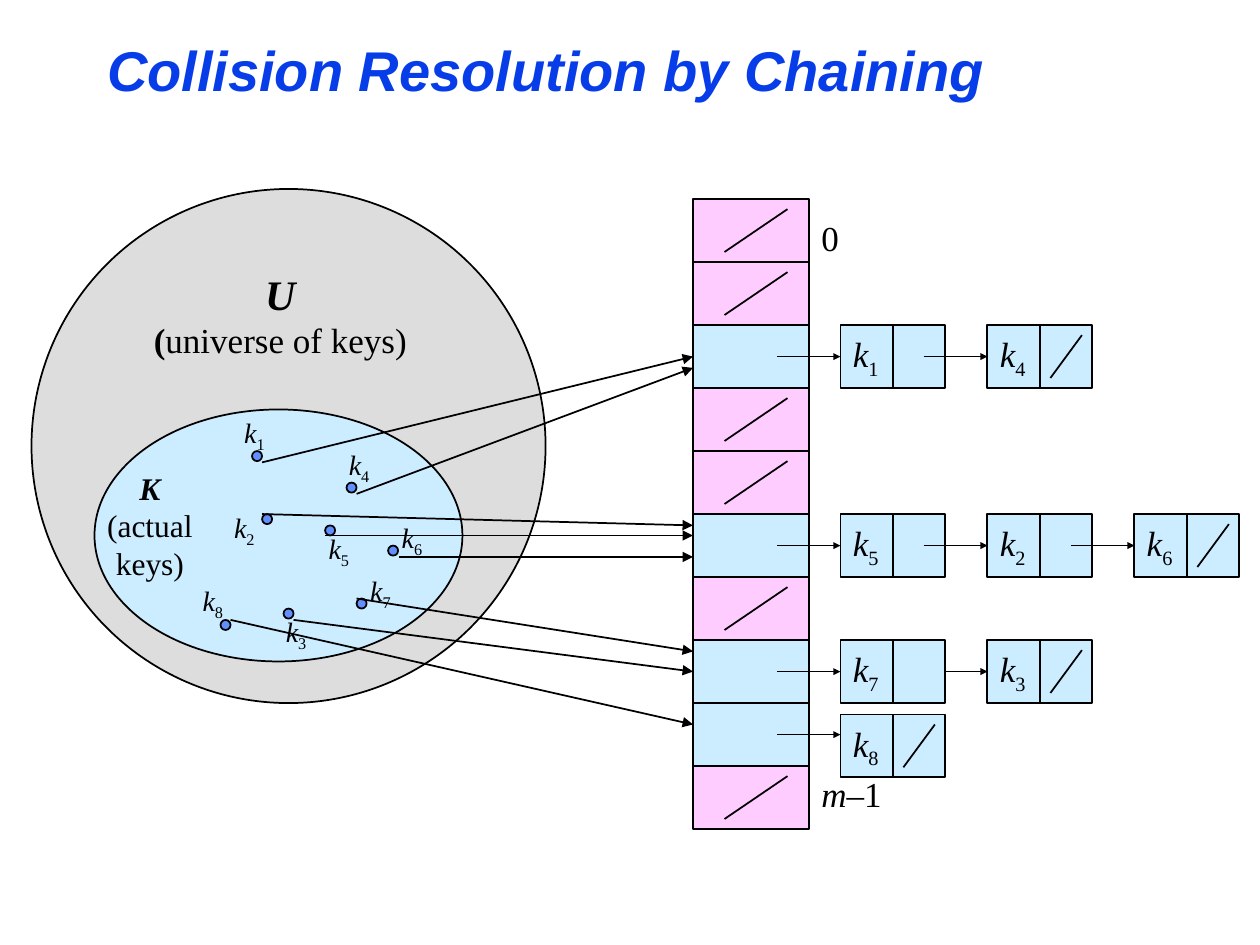
import dataclasses
import typing

import pptx
import pptx.dml.color
import pptx.enum.shapes
import pptx.enum.text
import pptx.oxml.ns
import pptx.oxml.xmlchemy
import pptx.util
from pptx.util import Inches

SHAPE = pptx.enum.shapes.MSO_SHAPE
ALIGN = pptx.enum.text.PP_ALIGN
ANCHOR = pptx.enum.text.MSO_ANCHOR


@dataclasses.dataclass(frozen=True)
class Theme:
    """Colours, fonts and type sizes."""
    ink: str = "000000"
    title: str = "063DE8"
    empty: str = "FFCCFF"
    used: str = "CCECFF"
    outer: str = "DDDDDD"
    dot: str = "618FFD"
    serif: str = "Times New Roman"
    sans: str = "Arial"
    head: int = 32
    large: int = 24
    base: int = 20
    mid: int = 18
    small: int = 16
    rule: float = 0.99


class Run(typing.NamedTuple):
    """A stretch of text in one format."""
    text: str
    size: int
    bold: bool = False
    ital: bool = False
    sub: bool = False


class Key(typing.NamedTuple):
    """A key: number, dot corner, label corner, arrow start, arrow end height."""
    num: int
    dot: tuple
    label: tuple
    start: tuple
    end: float


class Chain(typing.NamedTuple):
    """A slot's linked list: slot, key numbers, node drop, arrow inset."""
    slot: int
    keys: tuple
    drop: float = 0
    inset: float = 0.17


THEME = Theme()
COL_X, COL_Y, COL_W, ROW, ROWS = 5.5, 1.58, 0.92, 0.5, 10
NODE_X, NODE_W, PITCH = 6.67, 0.83, 7 / 6
DOT = 0.08

KEYS = (
    Key(1, (2, 3.58), (1.84, 3.25), (2.08, 3.67), 2.83),
    Key(4, (2.75, 3.83), (2.67, 3.5), (2.83, 3.92), 2.92),
    Key(2, (2.08, 4.08), (1.76, 4), (2.08, 4.08), 4.17),
    Key(5, (2.58, 4.17), (2.51, 4.17), (2.58, 4.25), 4.25),
    Key(6, (3.08, 4.33), (3.09, 4.08), (3.17, 4.42), 4.42),
    Key(7, (2.83, 4.75), (2.84, 4.5), (2.83, 4.75), 5.17),
    Key(3, (2.25, 4.83), (2.17, 4.83), (2.33, 4.92), 5.33),
    Key(8, (1.75, 4.92), (1.51, 4.58), (1.83, 4.92), 5.75),
)
CHAINS = (
    Chain(2, (1, 4)),
    Chain(5, (5, 2, 6)),
    Chain(7, (7, 3), inset=0),
    Chain(8, (8,), drop=0.09),
)

deck = pptx.Presentation()
deck.slide_width, deck.slide_height = Inches(10), Inches(7.5)
slide = deck.slides.add_slide(deck.slide_layouts[5])


def rgb(code: str) -> pptx.dml.color.RGBColor:
    """Turn a hex code into a colour."""
    return pptx.dml.color.RGBColor.from_string(code)


def write(shape, *lines: list, font: str = THEME.serif, color: str = THEME.ink,
          align=ALIGN.LEFT, anchor=ANCHOR.TOP, wrap: bool = False) -> None:
    """Fill a shape with paragraphs, each a list of runs."""
    frame = shape.text_frame
    frame.word_wrap, frame.vertical_anchor = wrap, anchor
    for i, line in enumerate(lines):
        para = frame.add_paragraph() if i else frame.paragraphs[0]
        para.alignment = align
        for part in line:
            run = para.add_run()
            run.text = part.text
            run.font.name, run.font.size = font, pptx.util.Pt(part.size)
            run.font.bold, run.font.italic = part.bold, part.ital
            run.font.color.rgb = rgb(color)
            if part.sub:
                run._r.get_or_add_rPr().set("baseline", "-25000")


def label(x: float, y: float, w: float, h: float, *lines: list, **form) -> None:
    """Add a text box."""
    area = slide.shapes.add_textbox(Inches(x), Inches(y), Inches(w), Inches(h))
    write(area, *lines, **form)


def box(x: float, y: float, w: float, h: float, fill: str, kind=SHAPE.RECTANGLE):
    """Add a filled, outlined shape."""
    item = slide.shapes.add_shape(kind, Inches(x), Inches(y), Inches(w), Inches(h))
    item.shadow.inherit = False
    item.fill.solid()
    item.fill.fore_color.rgb = rgb(fill)
    item.line.color.rgb = rgb(THEME.ink)
    item.line.width = pptx.util.Pt(THEME.rule)
    return item


def line(x1: float, y1: float, x2: float, y2: float, tip: str = "") -> None:
    """Add a line; tip is the arrowhead size, if any."""
    item = slide.shapes.add_connector(
        pptx.enum.shapes.MSO_CONNECTOR.STRAIGHT,
        Inches(x1), Inches(y1), Inches(x2), Inches(y2))
    item.line.color.rgb = rgb(THEME.ink)
    item.line.width = pptx.util.Pt(THEME.rule)
    props = item._element.spPr
    if tip:
        end = pptx.oxml.xmlchemy.OxmlElement("a:tailEnd")
        for name, value in (("type", "triangle"), ("w", tip), ("len", tip)):
            end.set(name, value)
        props.find(pptx.oxml.ns.qn("a:ln")).append(end)
    props.append(pptx.oxml.xmlchemy.OxmlElement("a:effectLst"))


def slash(x: float, y: float, w: float) -> None:
    """Mark an empty pointer in a cell."""
    line(x + 0.75, y + 0.08, x + 0.75 - w, y + 0.42)


def name(num: int, size: int) -> list:
    """Give the runs of a key's name."""
    return [Run("k", size, ital=True), Run(str(num), size, sub=True)]


def table() -> None:
    """Draw the hash table and its end labels."""
    used = [chain.slot for chain in CHAINS]
    box(COL_X, COL_Y, COL_W, ROW * ROWS, THEME.empty)
    for row in range(ROWS):
        y = COL_Y + row * ROW
        if row:
            line(COL_X, y, COL_X + COL_W, y)
        if row in used:
            box(COL_X, y, COL_W, ROW, THEME.used)
        else:
            slash(COL_X, y, 0.5)
    size = THEME.base
    label(6.42, 1.67, 0.34, 0.44, [Run("0", size)])
    label(6.42, 6.08, 0.68, 0.44, [Run("m", size, ital=True), Run("–1", size)])


def sets() -> None:
    """Draw the universe, the actual keys and the hash arrows."""
    box(0.25, 1.5, 4.08, 4.08, THEME.outer, SHAPE.OVAL)
    box(0.75, 3.25, 2.92, 2, THEME.used, SHAPE.OVAL)
    label(1.12, 2.08, 2.21, 0.84, [Run("U", THEME.large, True, True)],
          [Run("(", THEME.base, True), Run("universe of keys)", THEME.base)],
          align=ALIGN.CENTER)
    label(0.75, 3.67, 0.88, 1, [Run("K", THEME.mid, True, True)],
          [Run("(actual", THEME.mid)], [Run("keys)", THEME.mid)], align=ALIGN.CENTER)
    for key in KEYS:
        box(*key.dot, DOT, DOT, THEME.dot, SHAPE.OVAL)
        label(*key.label, 0.36, 0.41, name(key.num, THEME.small))
        line(*key.start, COL_X, key.end, "med")


def chains() -> None:
    """Draw the linked list of each used slot."""
    for chain in CHAINS:
        top = COL_Y + chain.slot * ROW
        y, mid = top + chain.drop, top + ROW / 2
        start = COL_X + COL_W - 0.25
        for i, num in enumerate(chain.keys):
            x = NODE_X + i * PITCH
            node = box(x, y, NODE_W, ROW, THEME.used)
            write(node, name(num, THEME.base), anchor=ANCHOR.MIDDLE)
            line(x + NODE_W / 2, y, x + NODE_W / 2, y + ROW)
            line(start, mid, x, mid, "sm")
            start = x + NODE_W - chain.inset
        slash(x, y, 0.25)


title = slide.shapes.title
title.left, title.top = Inches(0.75), Inches(0.17)
title.width, title.height = Inches(8.5), Inches(0.75)
write(title, [Run("Collision Resolution by Chaining", THEME.head, True, True)],
      font=THEME.sans, color=THEME.title, anchor=ANCHOR.MIDDLE, wrap=True)
table()
sets()
chains()
deck.save("out.pptx")
